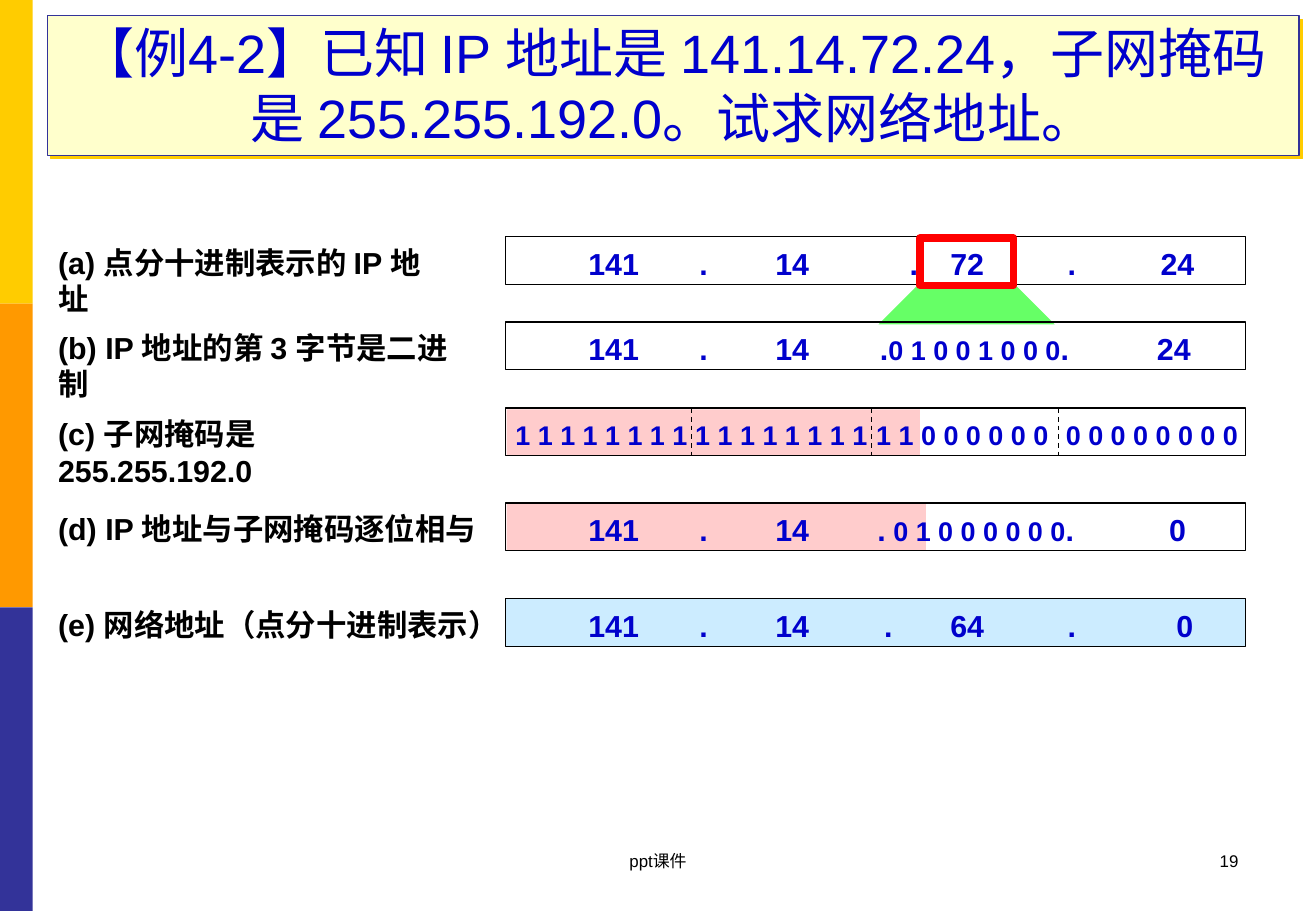
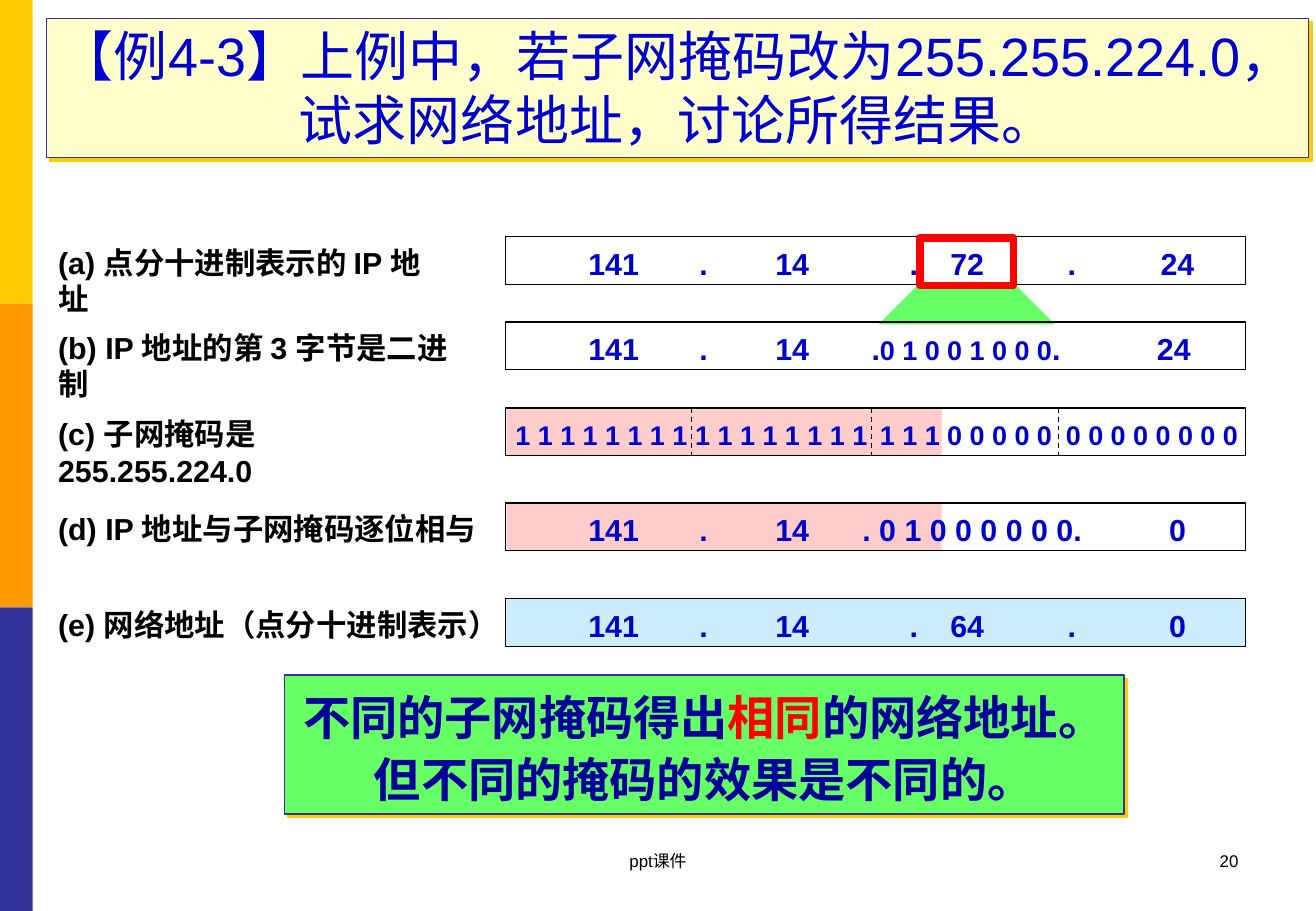
from lxml import etree
from pptx import Presentation
from pptx.dml.color import RGBColor
from pptx.enum.dml import MSO_LINE
from pptx.enum.shapes import MSO_CONNECTOR, MSO_SHAPE
from pptx.enum.text import MSO_ANCHOR, PP_ALIGN
from pptx.oxml.ns import qn
from pptx.util import Inches, Pt

RECTANGLE = MSO_SHAPE.RECTANGLE
STRAIGHT = MSO_CONNECTOR.STRAIGHT
DASH = MSO_LINE.DASH
LEFT, CENTER, RIGHT = PP_ALIGN.LEFT, PP_ALIGN.CENTER, PP_ALIGN.RIGHT
TOP, MIDDLE, BOTTOM = MSO_ANCHOR.TOP, MSO_ANCHOR.MIDDLE, MSO_ANCHOR.BOTTOM

FONT = "Arial"
BLACK, RED, BLUE, NAVY = "000000", "FF0000", "0000CC", "000099"
GOLD, ORANGE, INDIGO = "FFCC00", "FF9900", "333399"
CREAM, GREEN, PINK, SKY = "FFFFCC", "66FF66", "FFCCCC", "CCECFF"
TITLE_ONLY = 5

# Geometry of the address rows
ROW_LEFT, ROW_WIDTH, ROW_HEIGHT = 4.16, 6.09, 0.39
LABEL_LEFT = 0.38
ROW_TOPS = {"a": 1.95, "b": 2.65, "c": 3.36, "d": 4.14, "e": 4.93}
LABEL_WIDTHS = {"a": 3.4, "b": 3.65, "c": 3.4, "d": 3.65, "e": 3.9}
OCTET_DIVIDERS = (5.69, 7.17, 8.71)


def color(value):
    return RGBColor.from_string(value)


def bits(digits):
    return " ".join(digits)


class Deck:
    def __init__(self):
        self.presentation = Presentation()
        self.presentation.slide_width = Inches(10.83)
        self.presentation.slide_height = Inches(7.5)
        self.slide = None

    def start_slide(self, number):
        """Add a slide with its side bands and footer."""
        layout = self.presentation.slide_layouts[TITLE_ONLY]
        self.slide = self.presentation.slides.add_slide(layout)
        for index, band in enumerate((GOLD, ORANGE, INDIGO)):
            self.box(0, 2.5 * index, 0.27, 2.5, fill=band)
        self.text("ppt课件", 3.7, 6.95, 3.43, 0.5, size=10, align=CENTER)
        self.text(str(number), 7.76, 6.95, 2.53, 0.5, size=10, align=RIGHT)

    def paint(self, shape, fill=None, line=None, line_width=0.75):
        if fill:
            shape.fill.solid()
            shape.fill.fore_color.rgb = color(fill)
        else:
            shape.fill.background()
        if line:
            shape.line.color.rgb = color(line)
            shape.line.width = Pt(line_width)
        else:
            shape.line.fill.background()

    def drop_shadow(self, shape):
        properties = shape._element.spPr
        for old in properties.findall(qn("a:effectLst")):
            properties.remove(old)
        effects = etree.SubElement(properties, qn("a:effectLst"))
        shadow = etree.SubElement(effects, qn("a:outerShdw"), blurRad="0",
                                  dist=str(Pt(2.8)), dir="2700000",
                                  algn="ctr", rotWithShape="0")
        etree.SubElement(shadow, qn("a:srgbClr"), val=GOLD)

    def frame(self, shape, anchor=TOP, margins=(0.1, 0.05, 0.1, 0.05)):
        text_frame = shape.text_frame
        text_frame.word_wrap = True
        text_frame.vertical_anchor = anchor
        (text_frame.margin_left, text_frame.margin_top,
         text_frame.margin_right, text_frame.margin_bottom) = map(Inches, margins)
        return text_frame

    def run(self, paragraph, text, size, ink, bold=False):
        run = paragraph.add_run()
        run.text = text
        run.font.name = FONT
        run.font.size = Pt(size)
        run.font.bold = bold
        run.font.color.rgb = color(ink)

    def box(self, left, top, width, height, **style):
        shape = self.slide.shapes.add_shape(
            RECTANGLE, Inches(left), Inches(top), Inches(width), Inches(height))
        shape.shadow.inherit = False
        self.paint(shape, **style)
        return shape

    def text(self, text, left, top, width, height, size, align=LEFT, bold=False):
        shape = self.slide.shapes.add_textbox(
            Inches(left), Inches(top), Inches(width), Inches(height))
        paragraph = self.frame(shape).paragraphs[0]
        paragraph.alignment = align
        self.run(paragraph, text, size, BLACK, bold)

    def title(self, text, left, top, width):
        shape = self.slide.shapes.title
        shape.left, shape.top = Inches(left), Inches(top)
        shape.width, shape.height = Inches(width), Inches(1.15)
        self.paint(shape, CREAM, INDIGO)
        self.drop_shadow(shape)
        paragraph = self.frame(shape, BOTTOM).paragraphs[0]
        paragraph.alignment = CENTER
        self.run(paragraph, text, 32, BLUE)

    def beam(self, *points):
        corners = [(Inches(x), Inches(y)) for x, y in points]
        builder = self.slide.shapes.build_freeform(*corners[0])
        builder.add_line_segments(corners[1:], close=True)
        shape = builder.convert_to_shape()
        shape.shadow.inherit = False
        self.paint(shape, GREEN)

    def divider(self, x, top):
        line = self.slide.shapes.add_connector(
            STRAIGHT, Inches(x), Inches(top), Inches(x), Inches(top + ROW_HEIGHT))
        line.line.color.rgb = color(BLACK)
        line.line.width = Pt(0.75)
        line.line.dash_style = DASH
        etree.SubElement(line._element.spPr, qn("a:effectLst"))

    def row(self, key, label, cells, fill=None):
        """Label an address row and centre each cell on its own tab stop."""
        top = ROW_TOPS[key]
        self.text(f"({key}) {label}", LABEL_LEFT, top + 0.01,
                  LABEL_WIDTHS[key], 0.4, size=18, bold=True)
        shape = self.box(ROW_LEFT, top, ROW_WIDTH, ROW_HEIGHT, fill=fill, line=BLACK)
        paragraph = self.frame(shape, MIDDLE, (0, 0.05, 0, 0)).paragraphs[0]
        paragraph.alignment = LEFT
        tabs = etree.SubElement(paragraph._p.get_or_add_pPr(), qn("a:tabLst"))
        for center, runs in cells:
            etree.SubElement(tabs, qn("a:tab"), algn="ctr",
                             pos=str(Inches(center - ROW_LEFT)))
            self.run(paragraph, "\t", 16, BLUE, True)
            for text, size in runs:
                self.run(paragraph, text, size, BLUE, True)

    def conclusion(self, lines):
        shape = self.box(2.34, 5.56, 6.91, 1.14, fill=GREEN, line=INDIGO, line_width=1)
        self.drop_shadow(shape)
        text_frame = self.frame(shape, MIDDLE)
        for index, runs in enumerate(lines):
            paragraph = text_frame.add_paragraph() if index else text_frame.paragraphs[0]
            paragraph.alignment = CENTER
            paragraph.line_spacing = 1.1
            for text, ink in runs:
                self.run(paragraph, text, 28, ink, True)


def cells(size, *pairs):
    return [(center, [(text, size)]) for center, text in pairs]


PREFIX = cells(18, (5.05, "141"), (5.79, "."), (6.52, "14"))


def subnet_example(deck, number, title, mask, third_octet, pink_widths,
                   binary_center, mask_center, result, result_cells):
    """Work out one network address in five rows."""
    deck.start_slide(number)
    deck.title(*title)

    # Shading of the network part, below the row outlines
    deck.beam((7.57, 2.33), (8.34, 2.33), (8.68, 2.67), (7.23, 2.67))
    for key, width in zip("cd", pink_widths):
        deck.box(ROW_LEFT + 0.01, ROW_TOPS[key] + 0.01, width, 0.38, fill=PINK)

    # Address rows
    deck.row("a", "点分十进制表示的 IP 地址", PREFIX + cells(
        18, (7.52, "."), (7.96, "72"), (8.82, "."), (9.69, "24")))
    deck.box(7.57, 1.96, 0.77, ROW_HEIGHT, line=RED, line_width=4.5)
    deck.row("b", "IP 地址的第 3 字节是二进制", PREFIX + [
        (binary_center, [(".", 18), (bits("01001000"), 16), (".", 18)])]
        + cells(18, (9.66, "24")))
    deck.row("c", f"子网掩码是 {mask}", cells(
        16, (4.95, bits("11111111")), (6.43, bits("11111111")),
        (mask_center, bits(third_octet)), (9.48, bits("00000000"))))
    for x in OCTET_DIVIDERS:
        deck.divider(x, ROW_TOPS["c"])
    deck.row("d", "IP 地址与子网掩码逐位相与",
             PREFIX + [result] + cells(18, (9.69, "0")))
    deck.row("e", "网络地址（点分十进制表示）",
             PREFIX + cells(18, *result_cells), fill=SKY)


def main():
    deck = Deck()

    # Mask with two subnet bits
    subnet_example(
        deck, 19,
        ("【例4-2】已知 IP 地址是 141.14.72.24，子网掩码是 255.255.192.0。试求网络地址。",
         0.39, 0.13, 10.3),
        "255.255.192.0", "11000000", (3.4, 3.45), 8.02, 7.92,
        (8.03, [(".", 18), (" " + bits("01000000"), 16), (".", 18)]),
        [(7.31, "."), (7.96, "64"), (8.82, "."), (9.75, "0")])

    # Mask with three subnet bits
    subnet_example(
        deck, 20,
        ("【例4-3】上例中，若子网掩码改为255.255.224.0，试求网络地址，讨论所得结果。",
         0.38, 0.15, 10.39),
        "255.255.224.0", "11100000", (3.58, 3.58), 7.95, 7.95,
        (8.0, [(". " + bits("01000000") + ".", 18)]),
        [(7.52, "."), (7.96, "64"), (8.82, "."), (9.69, "0")])
    deck.conclusion([
        [("不同的子网掩码得出", NAVY), ("相同", RED), ("的网络地址。", NAVY)],
        [("但不同的掩码的效果是不同的。", NAVY)]])

    deck.presentation.save("out.pptx")


if __name__ == "__main__":
    main()
